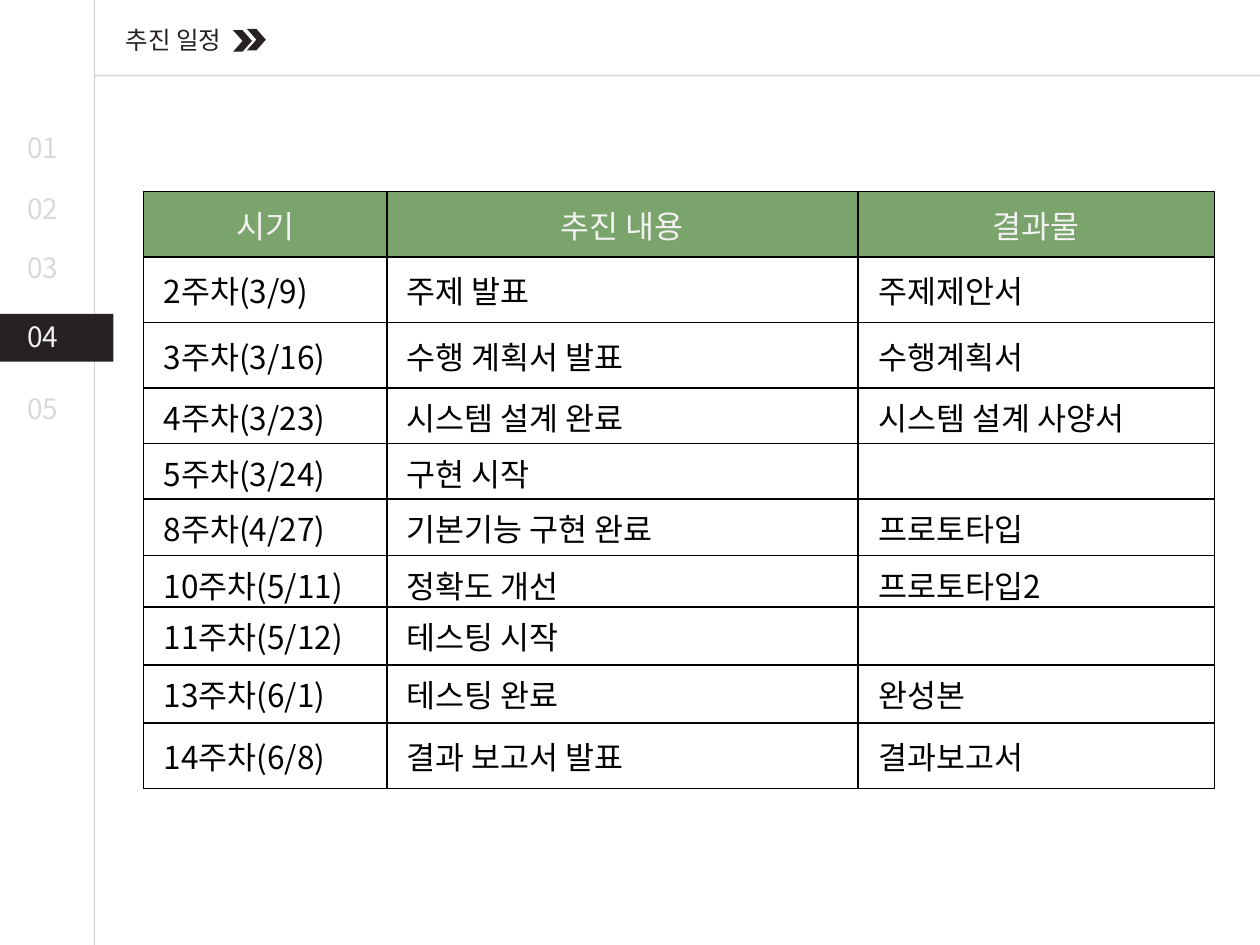
from lxml import etree
from pptx import Presentation
from pptx.dml.color import RGBColor
from pptx.enum import shapes, text
from pptx.oxml.ns import qn
from pptx.util import Inches, Pt

FONT = "Noto Sans CJK KR"
COLORS = {"dark": "272123", "rule": "A6A6A6", "faded": "D9D9D9", "light": "F2F2F2",
          "header": "7BA46C", "cell": "FFFFFF", "ink": "000000"}

TITLE = "추진 일정"
SECTIONS = [("01", 0.99), ("02", 1.47), ("03", 1.94), ("04", 2.49), ("05", 3.06)]
CURRENT = "04"
RULES = [(0.75, 0, 0.75, 7.5), (0.75, 0.6, 10, 0.6)]
CHEVRONS = [(1.85, 0.24), (1.96, 0.23)]

SCHEDULE = [
    ("시기", "추진 내용", "결과물"),
    ("2주차(3/9)", "주제 발표", "주제제안서"),
    ("3주차(3/16)", "수행 계획서 발표", "수행계획서"),
    ("4주차(3/23)", "시스템 설계 완료", "시스템 설계 사양서"),
    ("5주차(3/24)", "구현 시작", ""),
    ("8주차(4/27)", "기본기능 구현 완료", "프로토타입"),
    ("10주차(5/11)", "정확도 개선", "프로토타입2"),
    ("11주차(5/12)", "테스팅 시작", ""),
    ("13주차(6/1)", "테스팅 완료", "완성본"),
    ("14주차(6/8)", "결과 보고서 발표", "결과보고서"),
]
COLUMN_WIDTHS = [1.93, 3.74, 2.83]
ROW_HEIGHTS = [0.52, 0.52, 0.52, 0.44, 0.44, 0.45, 0.41, 0.46, 0.46, 0.52]


def rgb(name):
    return RGBColor.from_string(COLORS[name])


def style(para, size, color):
    font = para.font
    font.size = Pt(size)
    font.color.rgb = rgb(color)
    font.name = FONT
    properties = para._p.pPr.find(qn("a:defRPr"))
    etree.SubElement(properties, qn("a:ea"), typeface=FONT)


def add_label(page, words, left, top, width, height, size, color):
    box = page.shapes.add_textbox(*map(Inches, (left, top, width, height)))
    box.text_frame.word_wrap = True
    para = box.text_frame.paragraphs[0]
    para.text = words
    style(para, size, color)


def add_dark_shape(page, kind, *place):
    shape = page.shapes.add_shape(kind, *map(Inches, place))
    shape.shadow.inherit = False
    shape.fill.solid()
    shape.fill.fore_color.rgb = rgb("dark")
    shape.line.fill.background()


def add_rule(page, ends):
    """Draw a thin, half-transparent line."""
    line = page.shapes.add_connector(shapes.MSO_CONNECTOR.STRAIGHT, *map(Inches, ends))
    line.line.width = Pt(0.75)
    line.line.color.rgb = rgb("rule")
    properties = line._element.spPr
    color = properties.find(".//" + qn("a:srgbClr"))
    etree.SubElement(color, qn("a:alpha"), val="50000")
    etree.SubElement(properties, qn("a:effectLst"))


def add_borders(cell):
    properties = cell._tc.get_or_add_tcPr()
    for index, side in enumerate(("lnL", "lnR", "lnT", "lnB")):
        border = etree.Element(qn("a:" + side), w=str(Pt(1)))
        fill = etree.SubElement(border, qn("a:solidFill"))
        etree.SubElement(fill, qn("a:srgbClr"), val=COLORS["ink"])
        properties.insert(index, border)


def fill_cell(cell, words, is_header):
    cell.fill.solid()
    cell.fill.fore_color.rgb = rgb("header" if is_header else "cell")
    cell.vertical_anchor = text.MSO_ANCHOR.MIDDLE
    cell.margin_left = Inches(0.05 if is_header else 0.16)
    cell.margin_right = cell.margin_top = cell.margin_bottom = Inches(0.05)
    para = cell.text_frame.paragraphs[0]
    para.text = words
    if is_header:
        para.alignment = text.PP_ALIGN.CENTER
    style(para, 18, "light" if is_header else "ink")
    add_borders(cell)


def add_schedule(page):
    frame = page.shapes.add_table(
        len(SCHEDULE), len(COLUMN_WIDTHS), Inches(1.14), Inches(1.52),
        Inches(sum(COLUMN_WIDTHS)), Inches(sum(ROW_HEIGHTS)))
    table = frame.table
    for column, width in zip(table.columns, COLUMN_WIDTHS):
        column.width = Inches(width)
    for number, (row, height) in enumerate(zip(table.rows, ROW_HEIGHTS)):
        row.height = Inches(height)
        for cell, words in zip(row.cells, SCHEDULE[number]):
            fill_cell(cell, words, number == 0)


def main():
    deck = Presentation()
    deck.slide_width, deck.slide_height = Inches(10), Inches(7.5)
    page = deck.slides.add_slide(deck.slide_layouts[6])

    for ends in RULES:
        add_rule(page, ends)
    add_dark_shape(page, shapes.MSO_SHAPE.RECTANGLE, 0, dict(SECTIONS)[CURRENT], 0.9, 0.38)
    for number, top in SECTIONS:
        color = "light" if number == CURRENT else "faded"
        add_label(page, number, 0.12, top, 0.5, 0.37, 16, color)
    add_label(page, TITLE, 0.9, 0.15, 1.29, 0.34, 14, "dark")
    for left, top in CHEVRONS:
        add_dark_shape(page, shapes.MSO_SHAPE.CHEVRON, left, top, 0.15, 0.17)
    add_schedule(page)
    deck.save("out.pptx")


if __name__ == "__main__":
    main()
